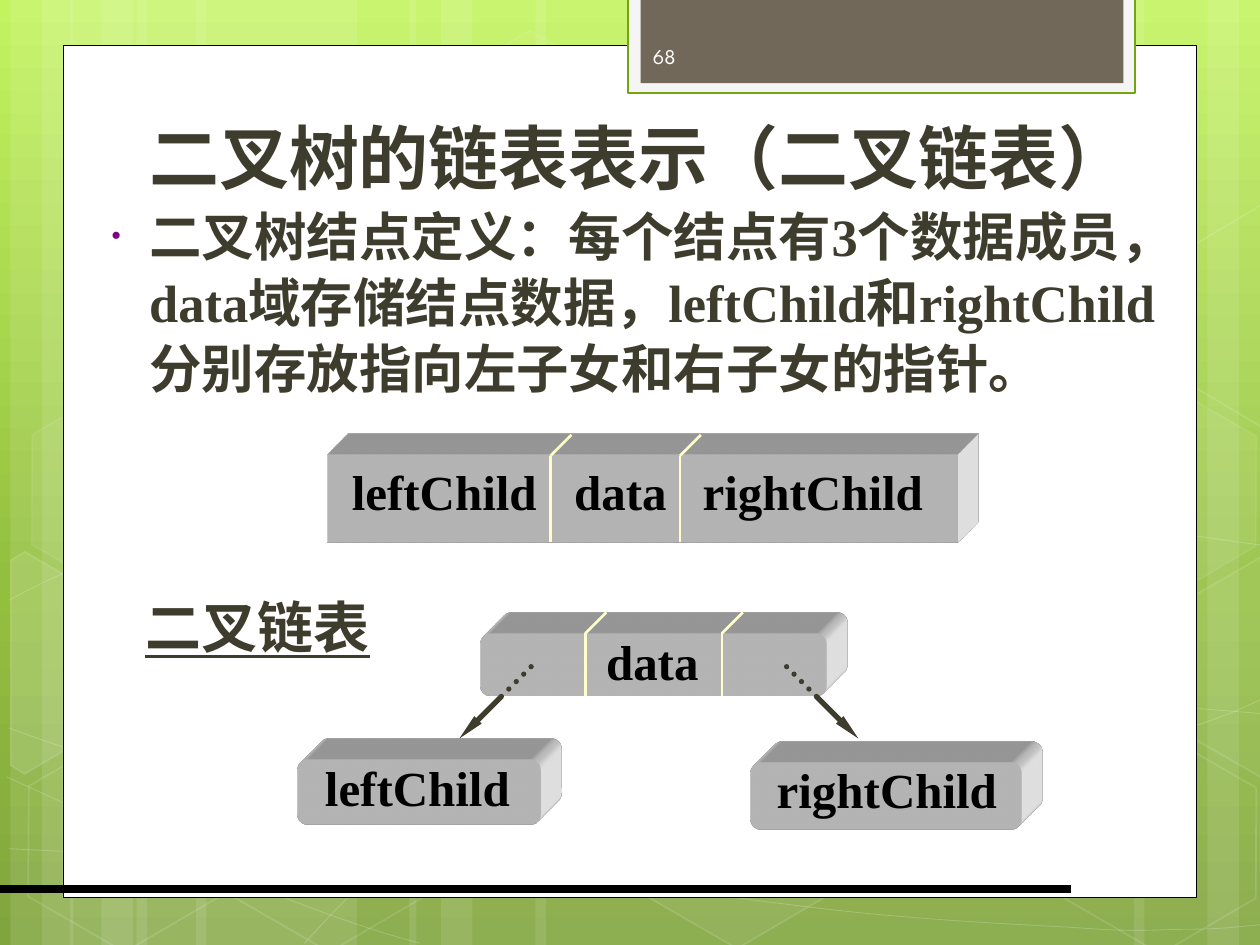
from math import cos, radians, sin

from lxml.etree import SubElement
from pptx import Presentation
from pptx.dml.color import RGBColor
from pptx.enum.dml import MSO_LINE
from pptx.enum.shapes import MSO_CONNECTOR, MSO_SHAPE as SHAPE
from pptx.enum.text import MSO_ANCHOR as ANCHOR, MSO_AUTO_SIZE as AUTO_SIZE, PP_ALIGN as ALIGN
from pptx.oxml.ns import qn
from pptx.util import Pt

WHITE = RGBColor(0xFF, 0xFF, 0xFF)
BLACK = RGBColor(0, 0, 0)
INK = RGBColor(0x3E, 0x3D, 0x2D)
CREAM = RGBColor(0xFF, 0xFF, 0xCC)
PALE = RGBColor(0xF5, 0xF5, 0xF5)
GREEN = RGBColor(0x74, 0xA5, 0x10)
BROWN = RGBColor(0x71, 0x68, 0x5A)
PURPLE = RGBColor(0x80, 0, 0x80)
NUMBER_COLOR = RGBColor(0xFE, 0xFE, 0xFE)
GRADIENT = [(0, RGBColor(0xC3, 0xF3, 0x5F)), (0.62, RGBColor(0x93, 0xBF, 0x3F)),
            (1, RGBColor(0x81, 0xA5, 0x3E))]

HEADING = {"name": "League Spartan", "size": Pt(40), "bold": True}
BODY = {"name": "Times New Roman", "size": Pt(30), "bold": True}
LABEL = {"name": "Times New Roman", "size": Pt(28), "bold": True}
CAPTION = {"name": "Times New Roman", "size": Pt(32), "bold": True, "underline": True}
NUMBER = {"name": "League Spartan", "size": Pt(12)}

DEPTH = 12
TILT = 30
BANDS = [(78, 126), (6, 36), (24, 60), (112, 126), (40, 36), (58, 60),
         (528, 126), (690, 36), (648, 60), (306, 222), (234, 36), (252, 60)]
# left, top, fill opacity, line opacity
HEXAGONS = [(240, 26, 4, 8), (358, 424, 6, 12), (8, 426, 0, 12), (10, 225, 7, 8),
            (125, 426, 0, 12), (542, 326, 10, 12), (600, 427, 0, 12), (600, 226, 7, 8)]
# start point, then two controls and an end for each Bézier piece
CURVES = [
    [(5, 485), (44, 487), (83, 489), (137, 488), (191, 487), (258, 486), (330, 479),
     (402, 472), (504, 458), (570, 444), (636, 431), (703, 411), (725, 397)],
    [(5, 343), (26, 332), (47, 321), (87, 310), (128, 300), (186, 285), (250, 279),
     (314, 273), (392, 273), (471, 279), (550, 284), (682, 307), (725, 312)],
    [(4, 444), (91, 484), (178, 523), (240, 539)],
    [(5, 416), (27, 424), (50, 432), (92, 444), (134, 454), (197, 472), (257, 485),
     (317, 497), (392, 510), (452, 517), (512, 525), (576, 528), (614, 530),
     (652, 533), (662, 531), (680, 531), (699, 531), (712, 529), (725, 528)],
    [(174, 539), (187, 525), (200, 510), (217, 498), (235, 485), (259, 470), (279, 460),
     (300, 450), (312, 446), (338, 438), (364, 431), (413, 421), (438, 416),
     (464, 411), (467, 411), (490, 410), (512, 408), (547, 405), (572, 405),
     (597, 404), (638, 405), (686, 405), (699, 406), (711, 407), (724, 408)],
]
# corners as seen after tilting, centre, fill opacity
CUT_HEXAGONS = [
    ([(6, 320), (14, 315), (69, 347), (68, 410), (14, 442), (6, 437)], (26, 385), 10),
    ([(667, 349), (721, 318), (726, 321), (726, 441), (721, 444), (667, 413)], (709, 374.5), 4),
    ([(667, 149), (721, 117), (727, 121), (726, 241), (721, 244), (667, 212)], (709, 173.5), 0),
]


def set_opacity(parent, percent):
    SubElement(parent.find(".//" + qn("a:srgbClr")), qn("a:alpha"), val=str(percent * 1000))


def paint(shape, fill=None, line=None, width=1, fill_opacity=100, line_opacity=100):
    shape.shadow.inherit = False
    properties = shape.element.spPr
    if fill is None or fill_opacity == 0:
        shape.fill.background()
    else:
        shape.fill.solid()
        shape.fill.fore_color.rgb = fill
        if fill_opacity < 100:
            set_opacity(properties.find(qn("a:solidFill")), fill_opacity)
    if line is None:
        shape.line.fill.background()
    else:
        shape.line.color.rgb = line
        shape.line.width = Pt(width)
        if line_opacity < 100:
            set_opacity(properties.find(qn("a:ln")), line_opacity)


def add_block(slide, kind, bounds, **look):
    block = slide.shapes.add_shape(kind, *map(Pt, bounds))
    paint(block, **look)
    return block


def add_outline(slide, points, closed=True, **look):
    start, *rest = [(Pt(x), Pt(y)) for x, y in points]
    builder = slide.shapes.build_freeform(*start)
    builder.add_line_segments(rest, close=closed)
    outline = builder.convert_to_shape()
    paint(outline, **look)
    return outline


def add_curve(slide, knots, **look):
    """Draw a chain of cubic Bézier pieces: each three segments become one piece."""
    curve = add_outline(slide, knots, closed=False, **look)
    segments = list(curve.element.iter(qn("a:lnTo")))
    trace = segments[0].getparent()
    for i in range(0, len(segments), 3):
        piece = SubElement(trace, qn("a:cubicBezTo"))
        for segment in segments[i:i + 3]:
            piece.append(segment[0])
            trace.remove(segment)


def turn_back(point, center):
    x, y = point[0] - center[0], point[1] - center[1]
    cosine, sine = cos(radians(TILT)), sin(radians(TILT))
    return center[0] + x * cosine + y * sine, center[1] - x * sine + y * cosine


def add_line(slide, start, end, color, width, dotted=False, arrow=False):
    line = slide.shapes.add_connector(MSO_CONNECTOR.STRAIGHT, *map(Pt, (*start, *end)))
    line.line.color.rgb = color
    line.line.width = Pt(width)
    properties = line.element.spPr
    stroke = properties.find(qn("a:ln"))
    if dotted:
        line.line.dash_style = MSO_LINE.ROUND_DOT
        stroke.set("cap", "rnd")
    if arrow:
        SubElement(stroke, qn("a:tailEnd"), type="triangle", w="sm", len="lg")
    SubElement(properties, qn("a:effectLst"))


def write(box, text, font, color, align=ALIGN.CENTER, anchor=ANCHOR.MIDDLE, wrap=True):
    frame = box.text_frame
    frame.word_wrap, frame.auto_size, frame.vertical_anchor = wrap, AUTO_SIZE.NONE, anchor
    para = frame.paragraphs[0]
    para.alignment = align
    span = para.add_run()
    span.text = text
    for name, value in font.items():
        setattr(span.font, name, value)
    span.font.color.rgb = color
    return para


def add_text(slide, bounds, text, font, color, **layout):
    return write(slide.shapes.add_textbox(*map(Pt, bounds)), text, font, color, **layout)


def fill_placeholder(slide, box, bounds, *content, **layout):
    """Move a placeholder above the page and write in it."""
    slide.shapes.element.append(box.element)
    box.left, box.top, box.width, box.height = map(Pt, bounds)
    return write(box, *content, **layout)


def add_bar(slide, bounds, kind=SHAPE.ROUNDED_RECTANGLE):
    """Draw a bar extruded towards the top right."""
    properties = add_block(slide, kind, bounds, fill=WHITE).element.spPr
    scene = SubElement(properties, qn("a:scene3d"))
    SubElement(scene, qn("a:camera"), prst="legacyObliqueTopRight")
    SubElement(scene, qn("a:lightRig"), rig="legacyFlat3", dir="b")
    solid = SubElement(properties, qn("a:sp3d"), extrusionH="430200", prstMaterial="legacyMatte")
    for side in ("a:bevelT", "a:bevelB"):
        SubElement(solid, qn(side), w="13500", h="13500", prst="angle")
    SubElement(SubElement(solid, qn("a:extrusionClr")), qn("a:srgbClr"), val=str(WHITE))


def add_divider(slide, x, top, bottom):
    add_line(slide, (x, bottom), (x, top), CREAM, 1.5)
    add_line(slide, (x, top), (x + DEPTH, top - DEPTH), CREAM, 1.5)


def add_backdrop(slide):
    fill = slide.background.fill
    fill.gradient()
    fill.gradient_angle = 270
    for stop, (position, color) in zip(fill.gradient_stops, (GRADIENT[0], GRADIENT[-1])):
        stop.position, stop.color.rgb = position, color
    position, color = GRADIENT[1]
    stop_list = slide.element.find(".//" + qn("a:gsLst"))
    middle = SubElement(stop_list, qn("a:gs"), pos=str(int(position * 100000)))
    SubElement(middle, qn("a:srgbClr"), val=str(color))
    stop_list.insert(1, middle)
    for left, width in BANDS:
        add_block(slide, SHAPE.RECTANGLE, (left, 0, width, 540), fill=WHITE, fill_opacity=10)
    for knots in CURVES:
        add_curve(slide, knots, line=WHITE, width=0.5, line_opacity=20)
    for left, top, fill_opacity, line_opacity in HEXAGONS:
        hexagon = add_block(slide, SHAPE.HEXAGON, (left, top, 126, 109.5), fill=WHITE, line=WHITE,
                            fill_opacity=fill_opacity, line_opacity=line_opacity)
        hexagon.adjustments[0], hexagon.adjustments[1] = 0.285, 1.155
        hexagon.rotation = TILT
    for corners, center, opacity in CUT_HEXAGONS:
        points = [turn_back(corner, center) for corner in corners]
        add_outline(slide, points, fill=WHITE, line=WHITE, fill_opacity=opacity,
                    line_opacity=12).rotation = TILT


def add_page(slide):
    add_block(slide, SHAPE.RECTANGLE, (36, 26, 648, 487), fill=WHITE, line=BLACK, width=0.5)
    add_block(slide, SHAPE.RECTANGLE, (359, -1.5, 289.5, 54.5), fill=PALE, line=GREEN, width=1.25)
    add_block(slide, SHAPE.RECTANGLE, (366, -1.5, 276, 49), fill=BROWN)
    add_line(slide, (0, 508), (612, 508), BLACK, 4.5)
    add_text(slide, (366, 17.5, 105, 29), "68", NUMBER, NUMBER_COLOR, align=ALIGN.LEFT)


def add_words(slide):
    title, body = slide.placeholders
    fill_placeholder(slide, title, (41, 38, 648, 79), "二叉树的链表表示（二叉链表）",
                     HEADING, INK, anchor=ANCHOR.BOTTOM)
    para = fill_placeholder(
        slide, body, (51, 111, 638, 124.5),
        "二叉树结点定义：每个结点有3个数据成员，data域存储结点数据，"
        "leftChild和rightChild分别存放指向左子女和右子女的指针。",
        BODY, INK, align=ALIGN.LEFT, anchor=ANCHOR.TOP)
    para.line_spacing, para.space_before = 1.05, Pt(0)
    properties = para._p.get_or_add_pPr()
    properties.set("marL", str(Pt(27)))
    properties.set("indent", str(-Pt(21.5)))
    SubElement(SubElement(properties, qn("a:buClr")), qn("a:srgbClr"), val=str(PURPLE))
    SubElement(properties, qn("a:buSzPct"), val="50000")
    SubElement(properties, qn("a:buChar"), char="•")
    add_text(slide, (75.5, 335, 143.5, 45), "二叉链表", CAPTION, INK, wrap=False)


def add_node_layout(slide):
    add_bar(slide, (187, 260, 360, 50), SHAPE.RECTANGLE)
    para = add_text(slide, (194, 260, 341, 41), "leftChild\tdata\trightChild", LABEL, BLACK,
                    align=ALIGN.LEFT, wrap=False)
    tabs = SubElement(para._p.get_or_add_pPr(), qn("a:tabLst"))
    for position in (127, 200.5):
        SubElement(tabs, qn("a:tab"), pos=str(Pt(position)), algn="l")
    for x in (314.5, 388.5):
        add_divider(slide, x, 260.5, 310)


def add_linked_nodes(slide):
    for bounds in ((274.5, 362, 198, 35.5), (429, 435.5, 155, 38.5), (170, 434, 139, 37)):
        add_bar(slide, bounds)
    for x in (334.5, 412.5):
        add_divider(slide, x, 362, 398)
    for bounds, text in (((339, 357, 67.5, 41), "data"), ((178.5, 429, 120, 41), "leftChild"),
                         ((436.5, 430.5, 140.5, 41), "rightChild")):
        add_text(slide, bounds, text, LABEL, BLACK, wrap=False)
    for x, way in ((286.5, -1), (466.5, 1)):
        add_line(slide, (x, 398), (x + way * 24, 422), INK, 3, arrow=True)
        add_line(slide, (x, 398), (x - way * 18, 380), INK, 3, dotted=True)


def main():
    deck = Presentation()
    deck.slide_width, deck.slide_height = Pt(720), Pt(540)
    slide = deck.slides.add_slide(deck.slide_layouts[1])
    add_backdrop(slide)
    add_page(slide)
    add_words(slide)
    add_node_layout(slide)
    add_linked_nodes(slide)
    deck.save("out.pptx")


if __name__ == "__main__":
    main()
